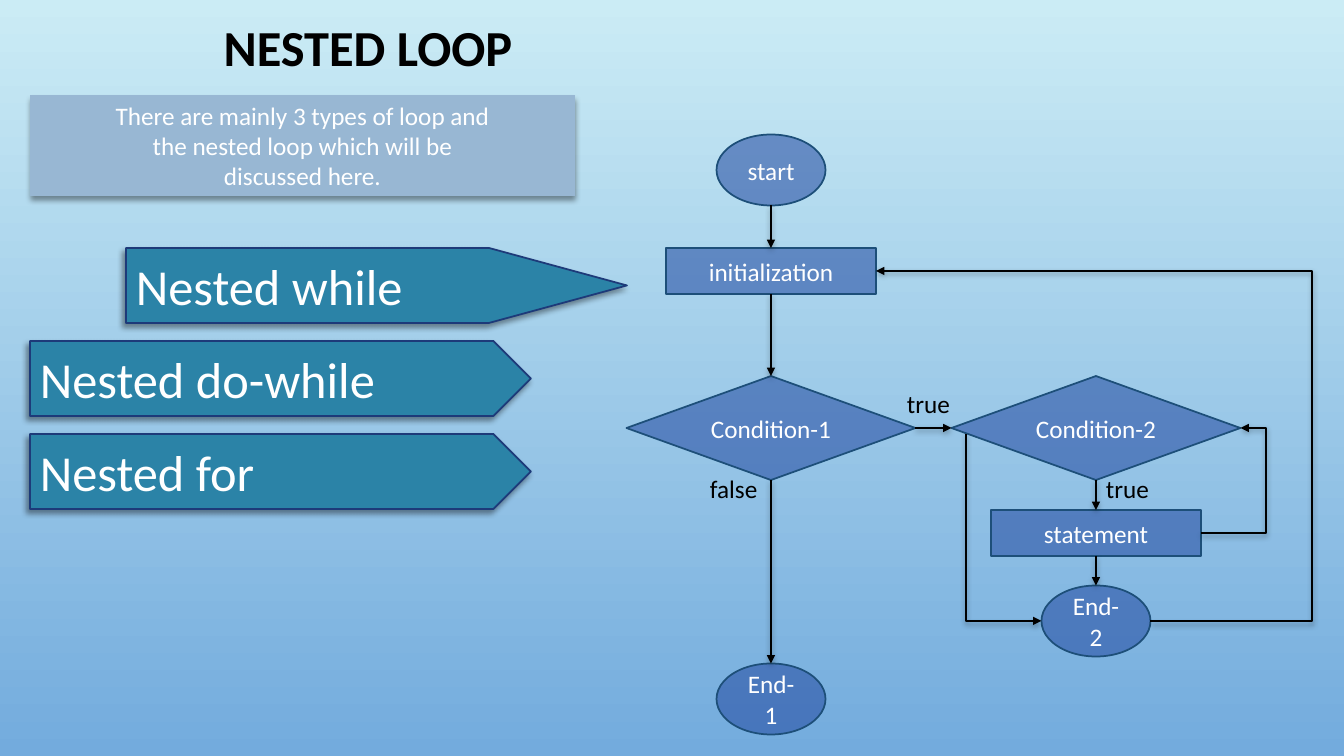
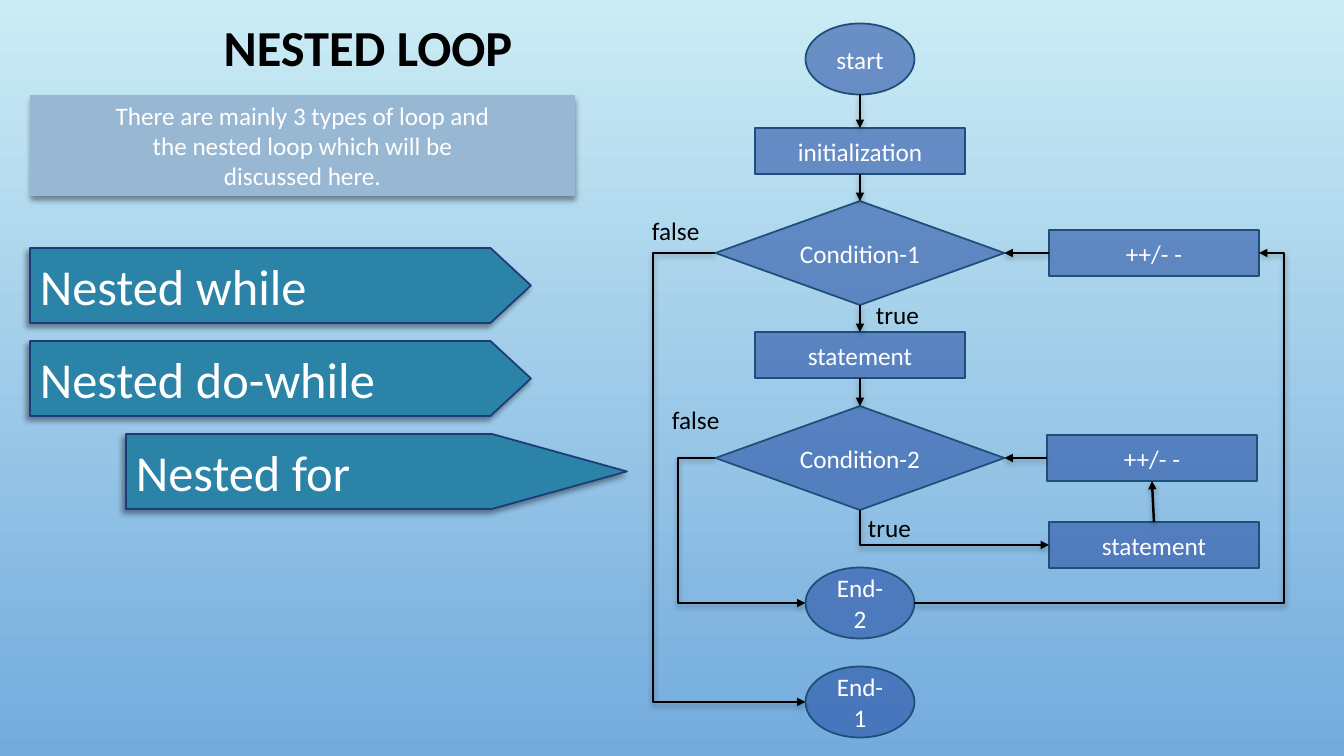
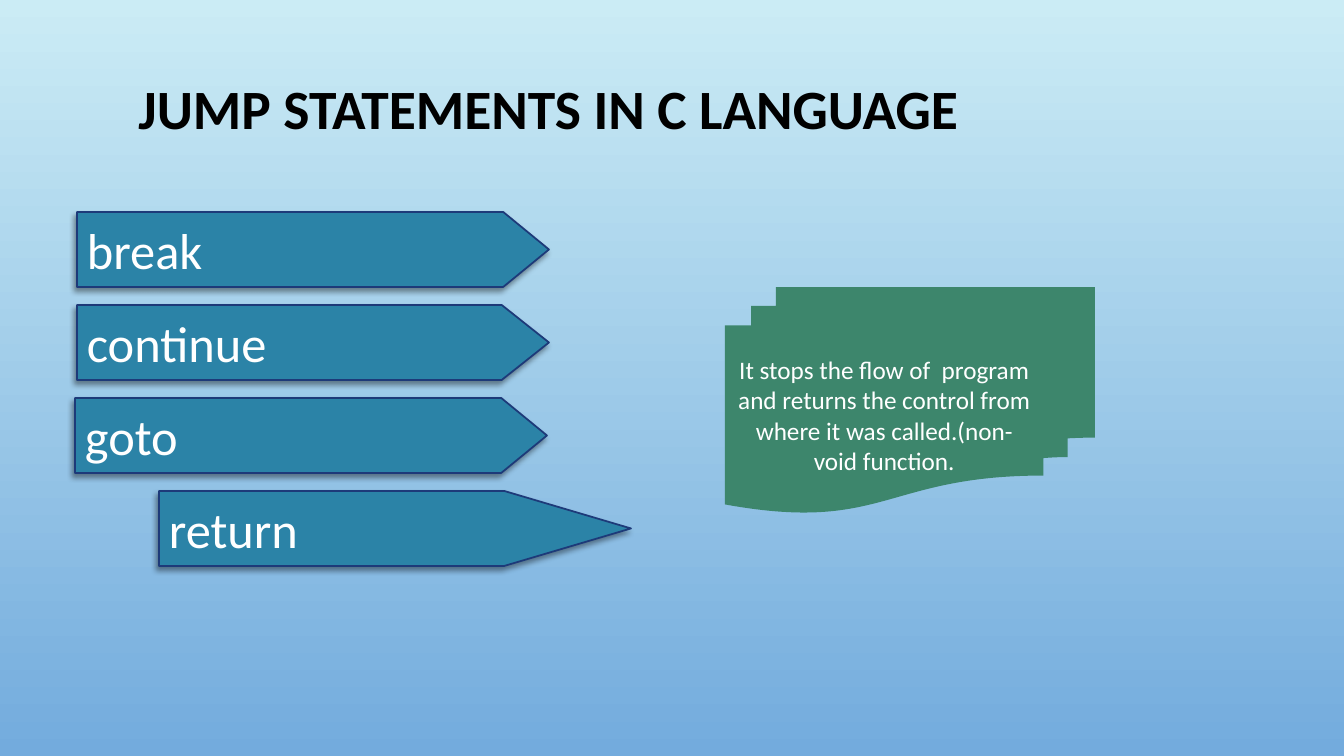
from lxml import etree
from pptx import Presentation
from pptx.dml.color import RGBColor
from pptx.enum.shapes import MSO_CONNECTOR, MSO_SHAPE
from pptx.enum.text import MSO_ANCHOR, PP_ALIGN
from pptx.oxml.ns import qn
from pptx.util import Pt

PX = 914400 / 100.8
FONT = "Calibri"
BLACK = RGBColor(0x00, 0x00, 0x00)
WHITE = RGBColor(0xFF, 0xFF, 0xFF)
SKY_TOP = RGBColor(0xCB, 0xEC, 0xF5)
SKY_BOTTOM = RGBColor(0x73, 0xAB, 0xDD)
TEAL = RGBColor(0x2B, 0x83, 0xA7)
NAVY = RGBColor(0x1D, 0x3A, 0x79)
MIST = RGBColor(0x98, 0xB7, 0xD3)
NODE_FILL = RGBColor(0x27, 0x4F, 0xA4)
NODE_LINE = RGBColor(0x1D, 0x4F, 0x79)
GREEN = RGBColor(0x3D, 0x86, 0x6C)

LEFT, CENTER = PP_ALIGN.LEFT, PP_ALIGN.CENTER
MIDDLE = MSO_ANCHOR.MIDDLE
STRAIGHT, ELBOW = MSO_CONNECTOR.STRAIGHT, MSO_CONNECTOR.ELBOW
PLATE = MSO_SHAPE.PENTAGON
PROCESS = MSO_SHAPE.FLOWCHART_PREDEFINED_PROCESS
MULTIDOC = MSO_SHAPE.FLOWCHART_MULTIDOCUMENT
DIAMOND = MSO_SHAPE.FLOWCHART_DECISION
RECT, OVAL = MSO_SHAPE.RECTANGLE, MSO_SHAPE.OVAL
SIZES = {DIAMOND: (289, 104), RECT: (210, 46), OVAL: (109, 71)}
TOP_SIDE, LEFT_SIDE, BOTTOM_SIDE, RIGHT_SIDE = range(4)

TITLE_TEXT = {"name": FONT, "size": Pt(36), "bold": True}
PLATE_TEXT = {"name": FONT, "size": Pt(36), "bold": False}
BODY_TEXT = {"name": FONT, "size": Pt(18), "bold": False}


def emu(*lengths):
    return [round(v * PX) for v in lengths]


def write(tf, text, font, color, align):
    p = tf.paragraphs[0]
    p.alignment = align
    r = p.add_run()
    r.text = text
    for key, value in font.items():
        setattr(r.font, key, value)
    r.font.color.rgb = color
    return p


def add_shadow(effects, alpha, distance, angle):
    sh = etree.SubElement(effects, qn("a:outerShdw"), blurRad=str(Pt(4)),
                          dist=str(Pt(distance)), dir=str(angle * 60000),
                          algn="ctr", rotWithShape="0")
    c = etree.SubElement(sh, qn("a:srgbClr"), val=str(BLACK))
    etree.SubElement(c, qn("a:alpha"), val=str(alpha * 1000))


def add_box(s, kind, box, text, fill, line=None, font=BODY_TEXT, align=CENTER,
            shadow=None, alpha=None):
    sp = s.shapes.add_shape(kind, *emu(*box))
    sp.fill.solid()
    sp.fill.fore_color.rgb = fill
    if alpha:
        c = sp.element.spPr.find(qn("a:solidFill"))[0]
        etree.SubElement(c, qn("a:alpha"), val=str(alpha * 1000))
    if line:
        sp.line.color.rgb = line
        sp.line.width = Pt(1.25)
    else:
        sp.line.fill.background()
    sp.shadow.inherit = False
    if shadow:
        add_shadow(sp.element.spPr.find(qn("a:effectLst")), *shadow)
    sp.text_frame.word_wrap = True
    sp.text_frame.vertical_anchor = MIDDLE
    write(sp.text_frame, text, font, WHITE, align)
    return sp


def add_title(s, box, text, size=36):
    sp = s.shapes.title
    sp.left, sp.top, sp.width, sp.height = emu(*box)
    tf = sp.text_frame
    tf.vertical_anchor = MIDDLE
    p = write(tf, text, {**TITLE_TEXT, "size": Pt(size)}, BLACK, CENTER)
    p.line_spacing = 0.9


def add_plates(s, box, items):
    left, top, width, height, pitch = box
    for i, (text, indent, point) in enumerate(items):
        sp = add_box(s, PLATE, (left + indent, top + i * pitch, width, height),
                     text, TEAL, NAVY, PLATE_TEXT, LEFT, (40, 3, 135))
        sp.adjustments[0] = point


def side_point(sp, side):
    fx, fy = ((0.5, 0), (0, 0.5), (0.5, 1), (1, 0.5))[side]
    return round(sp.left + sp.width * fx), round(sp.top + sp.height * fy)


def add_arrow(s, kind, start, end, arrow="a:tailEnd"):
    c = s.shapes.add_connector(kind, *start, *end)
    c.line.color.rgb = BLACK
    c.line.width = Pt(1.75)
    spPr = c.element.spPr
    etree.SubElement(spPr.find(qn("a:ln")), qn(arrow), type="triangle")
    add_shadow(etree.SubElement(spPr, qn("a:effectLst")), 28, 2, 90)
    return c


def add_link(s, a, a_side, b, b_side):
    c = add_arrow(s, STRAIGHT, side_point(a, a_side), side_point(b, b_side))
    for sp, side, join in ((a, a_side, c.begin_connect), (b, b_side, c.end_connect)):
        if sp.auto_shape_type != OVAL or side == TOP_SIDE:
            join(sp, side)


def add_detour(s, a, b, side, turn):
    start, end = side_point(a, side), side_point(b, side)
    c = add_arrow(s, ELBOW, start, end)
    adj = round((turn - start[0]) / (end[0] - start[0]) * 100000)
    guides = c.element.spPr.find(qn("a:prstGeom")).find(qn("a:avLst"))
    etree.SubElement(guides, qn("a:gd"), name="adj1", fmla=f"val {adj}")


def add_corner(s, start, b):
    c = add_arrow(s, ELBOW, side_point(b, LEFT_SIDE), start, "a:headEnd")
    c.element.spPr.find(qn("a:prstGeom")).set("prst", "bentConnector2")


def add_flowchart(s, origin, nodes, links, detours, corner, labels):
    left, top = origin
    sps = {}
    for name, (kind, text, x, y) in nodes.items():
        w, h = SIZES[kind]
        sps[name] = add_box(s, kind, (left + x - w / 2, top + y - h / 2, w, h),
                            text, NODE_FILL, NODE_LINE, alpha=58)
    for a, a_side, b, b_side in links:
        add_link(s, sps[a], a_side, sps[b], b_side)
    for a, b, side, turn in detours:
        add_detour(s, sps[a], sps[b], side, emu(left + turn)[0])
    x, y, target = corner
    add_corner(s, emu(left + x, top + y), sps[target])
    for text, x, y in labels:
        tb = s.shapes.add_textbox(*emu(left + x, top + y, 78 if text == "false" else 69, 40))
        tb.text_frame.word_wrap = False
        write(tb.text_frame, text, BODY_TEXT, BLACK, LEFT)


def nested_slide(prs, plates, flow):
    s = prs.slides.add_slide(prs.slide_layouts[5])
    add_title(s, (20, 0, 696, 101), "NESTED LOOP")
    add_plates(s, (30, 248, 501, 75, 93), plates)
    add_box(s, PROCESS, (30, 95, 545, 101),
            "There are mainly 3 types of loop and the nested loop which will be discussed here.",
            MIST, shadow=(40, 3, 90))
    add_flowchart(s, **flow)


def jump_slide(prs):
    s = prs.slides.add_slide(prs.slide_layouts[5])
    add_title(s, (75, 67, 947, 90), "JUMP STATEMENTS IN C LANGUAGE", 39.6)
    add_plates(s, (77, 212, 472, 75, 93),
               [("break", 0, 0.61), ("continue", 0, 0.63), ("goto", -2, 0.61),
                ("return", 82, 1.69)])
    add_box(s, MULTIDOC, (725, 287, 370, 226),
            "It stops the flow of  program and returns the control from where it was "
            "called.(non-void function.", GREEN)


WHILE_FLOW = {
    "origin": (626, 134),
    "nodes": {
        "start": (OVAL, "start", 145, 36),
        "init": (RECT, "initialization", 145, 137),
        "cond1": (DIAMOND, "Condition-1", 145, 294),
        "end1": (OVAL, "End-1", 145, 565),
        "cond2": (DIAMOND, "Condition-2", 470, 294),
        "body": (RECT, "statement", 470, 399),
        "end2": (OVAL, "End-2", 470, 487),
    },
    "links": [
        ("start", BOTTOM_SIDE, "init", TOP_SIDE),
        ("init", BOTTOM_SIDE, "cond1", TOP_SIDE),
        ("cond1", BOTTOM_SIDE, "end1", TOP_SIDE),
        ("cond1", RIGHT_SIDE, "cond2", LEFT_SIDE),
        ("cond2", BOTTOM_SIDE, "body", TOP_SIDE),
        ("body", BOTTOM_SIDE, "end2", TOP_SIDE),
    ],
    "detours": [("end2", "init", RIGHT_SIDE, 686), ("body", "cond2", RIGHT_SIDE, 640)],
    "corner": (340, 300, "end2"),
    "labels": [("false", 74, 334), ("true", 271, 249), ("true", 470, 334)],
}

FOR_FLOW = {
    "origin": (653, 23),
    "nodes": {
        "start": (OVAL, "start", 207, 36),
        "init": (RECT, "initialization", 207, 128),
        "cond1": (DIAMOND, "Condition-1", 207, 230),
        "outer": (RECT, "statement", 207, 332),
        "cond2": (DIAMOND, "Condition-2", 207, 435),
        "end2": (OVAL, "End-2", 207, 580),
        "end1": (OVAL, "End-1", 207, 679),
        "step1": (RECT, "++/- -", 501, 230),
        "step2": (RECT, "++/- -", 499, 435),
        "inner": (RECT, "statement", 501, 522),
    },
    "links": [
        ("start", BOTTOM_SIDE, "init", TOP_SIDE),
        ("init", BOTTOM_SIDE, "cond1", TOP_SIDE),
        ("cond1", BOTTOM_SIDE, "outer", TOP_SIDE),
        ("outer", BOTTOM_SIDE, "cond2", TOP_SIDE),
        ("step1", LEFT_SIDE, "cond1", RIGHT_SIDE),
        ("step2", LEFT_SIDE, "cond2", RIGHT_SIDE),
        ("inner", TOP_SIDE, "step2", BOTTOM_SIDE),
    ],
    "detours": [("cond1", "end1", LEFT_SIDE, 0), ("cond2", "end2", LEFT_SIDE, 25),
                ("end2", "step1", RIGHT_SIDE, 631)],
    "corner": (207, 487, "inner"),
    "labels": [("false", -11, 187), ("false", 9, 376), ("true", 213, 271),
               ("true", 205, 484)],
}


def main():
    prs = Presentation()
    prs.slide_width, prs.slide_height = emu(1344, 756)
    fill = prs.slide_master.background.fill
    fill.gradient()
    fill.gradient_angle = 270
    for stop, color in zip(fill.gradient_stops, (SKY_TOP, SKY_BOTTOM)):
        stop.color.rgb = color
    nested_slide(prs, [("Nested while", 96, 1.84), ("Nested do-while", 0, 0.5),
                       ("Nested for", 0, 0.5)], WHILE_FLOW)
    nested_slide(prs, [("Nested while", 0, 0.54), ("Nested do-while", 0, 0.54),
                       ("Nested for", 96, 1.8)], FOR_FLOW)
    jump_slide(prs)
    prs.save("out.pptx")


if __name__ == "__main__":
    main()
